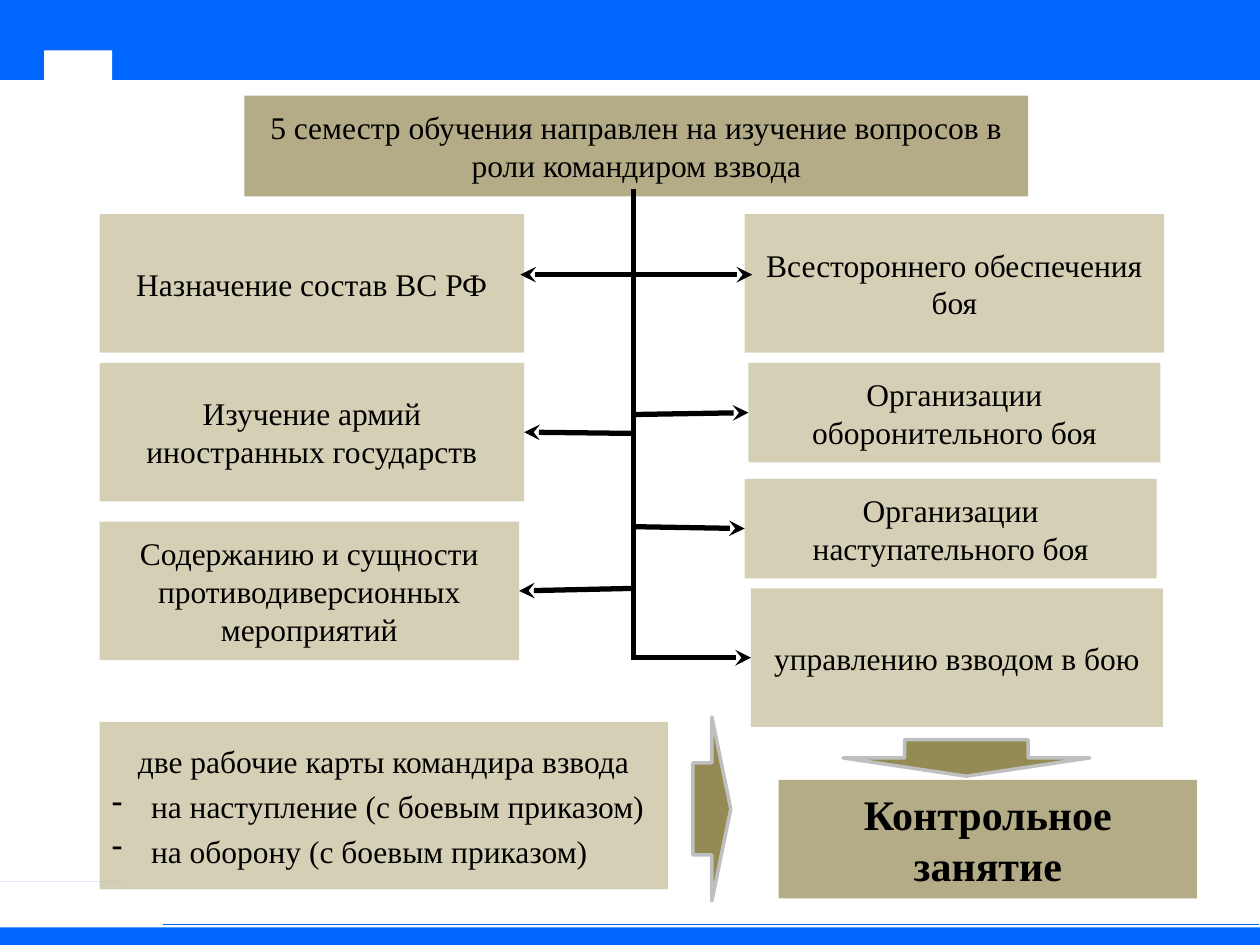
from pptx import Presentation
from pptx.dml.color import RGBColor
from pptx.enum.shapes import MSO_CONNECTOR, MSO_SHAPE
from pptx.enum.text import MSO_ANCHOR, MSO_AUTO_SIZE, PP_ALIGN
from pptx.oxml.ns import qn
from pptx.util import Emu, Inches, Pt
from lxml.etree import SubElement

BLUE = RGBColor(0x00, 0x66, 0xFF)
WHITE = RGBColor(0xFF, 0xFF, 0xFF)
BLACK = RGBColor(0x00, 0x00, 0x00)
OLIVE = RGBColor(0x94, 0x8A, 0x54)
SAND = RGBColor(0xC4, 0xBD, 0x97)
GREY = RGBColor(0xBF, 0xBF, 0xBF)

WIDTH, HEIGHT = 10, 7.5
LEFT = 0.79          # left edge of the left column
TRUNK = 5.03         # vertical line of the scheme
TOP_ROW = 1.7
TALL, SHORT = 1.1, 0.79

# City skyline: spire, roofs, bridge span, quay; then the loose details
SKYLINE = [
    [(0, 7.46), (0, 7.35), (0.06, 7.34), (0.12, 7.36), (0.17, 7.33), (0.23, 7.35),
     (0.28, 7.32), (0.3, 7.25), (0.32, 7.16), (0.32, 7.1), (0.34, 7.1), (0.34, 6.82),
     (0.36, 7.1), (0.37, 7.1), (0.37, 7.16), (0.39, 7.2), (0.39, 7.25), (0.41, 7.32),
     (0.45, 7.32), (0.49, 7.21), (0.52, 7.28), (0.53, 7.22), (0.56, 7.32), (0.62, 7.33),
     (0.62, 7.3), (0.64, 7.34), (0.74, 7.35), (0.75, 7.26), (0.77, 7.3), (0.81, 7.32),
     (0.82, 7.26), (0.84, 7.3), (0.9, 7.28), (1.03, 7.03), (1.01, 7.01), (1.05, 7.03),
     (1.16, 7.04), (1.08, 6.99), (1.2, 7.04), (1.21, 7.05), (1.1, 7.31), (1.26, 7.32),
     (1.4, 7.35), (1.4, 7.46)],
    [(1.26, 7.28), (1.25, 7.17), (1.23, 7.16), (1.24, 7.2), (1.21, 7.2), (1.22, 7.15),
     (1.25, 7.17), (1.24, 7.13), (1.27, 7.13), (1.26, 7.17), (1.29, 7.15), (1.31, 7.2),
     (1.28, 7.2), (1.29, 7.16), (1.26, 7.18)],
    [(1, 7.01), (0.96, 6.99), (0.96, 6.97), (1.02, 6.99), (1.01, 7.01)],
]


def fill_shape(shape, color, opacity=100):
    shape.fill.solid()
    shape.fill.fore_color.rgb = color
    if opacity < 100:
        color_element = shape._element.spPr.find(qn("a:solidFill"))[0]
        SubElement(color_element, qn("a:alpha"), val=str(opacity * 1000))


def add_block(slide, kind, left, top, width, height, color, opacity=100):
    shape = slide.shapes.add_shape(
        kind, Inches(left), Inches(top), Inches(width), Inches(height))
    shape.shadow.inherit = False
    shape.line.fill.background()
    fill_shape(shape, color, opacity)
    return shape


def write_text(shape, lines, size=18, bold=False):
    """Centre the first line; set the following ones as a dashed list."""
    frame = shape.text_frame
    frame.word_wrap = True
    frame.auto_size = MSO_AUTO_SIZE.NONE
    frame.vertical_anchor = MSO_ANCHOR.MIDDLE
    for index, line in enumerate(lines):
        paragraph = frame.add_paragraph() if index else frame.paragraphs[0]
        paragraph.alignment = PP_ALIGN.LEFT if index else PP_ALIGN.CENTER
        paragraph.space_before = Pt(4 if index else 0)
        if index:
            properties = paragraph._p.get_or_add_pPr()
            properties.set("marL", str(Inches(0.31)))
            properties.set("indent", str(-Inches(0.31)))
            SubElement(properties, qn("a:buChar"), char="-")
        run = paragraph.add_run()
        run.text = line
        run.font.name = "Times New Roman"
        run.font.size = Pt(size)
        run.font.bold = bold
        run.font.color.rgb = BLACK


def add_box(slide, lines, left, top, width, height, color=SAND, **style):
    box = add_block(slide, MSO_SHAPE.RECTANGLE, left, top, width, height, color, 70)
    write_text(box, lines, **style)
    return box


def add_line(slide, start, end, color=BLACK, width=3, arrows=()):
    line = slide.shapes.add_connector(
        MSO_CONNECTOR.STRAIGHT, *(Inches(value) for value in (*start, *end)))
    line.line.color.rgb = color
    line.line.width = Pt(width)
    for name in arrows:
        SubElement(line.line._get_or_add_ln(), qn(f"a:{name}"), type="stealth")
    SubElement(line._element.spPr, qn("a:effectLst"))
    return line


def add_skyline(slide):
    first, *details = SKYLINE
    builder = slide.shapes.build_freeform(*first[0], scale=Inches(1))
    builder.add_line_segments(first[1:], close=True)
    for outline in details:
        builder.move_to(*outline[0])
        builder.add_line_segments(outline[1:], close=True)
    skyline = builder.convert_to_shape(Emu(0), Emu(0))
    skyline.shadow.inherit = False
    skyline.line.fill.background()
    fill_shape(skyline, BLUE)


def add_background(slide):
    add_block(slide, MSO_SHAPE.RECTANGLE, 0, 0, WIDTH, 0.6, BLUE)
    add_skyline(slide)
    add_block(slide, MSO_SHAPE.RECTANGLE, 0, 7.36, WIDTH, HEIGHT - 7.36, BLUE)
    add_line(slide, (WIDTH, 0.6), (0, 0.6), BLUE, 4.5)
    add_line(slide, (1.29, 7.34), (9.99, 7.34), BLUE, 0.75)
    add_block(slide, MSO_SHAPE.RECTANGLE, 0.35, 0.4, 0.54, 0.44, WHITE)


def add_title(slide):
    title = slide.shapes.title
    title.left, title.top = Inches(1.94), Inches(0.76)
    title.width, title.height = Inches(6.22), Inches(0.8)
    fill_shape(title, OLIVE, 70)
    write_text(title, ["5 семестр обучения направлен на изучение вопросов в "
                       "роли командиром взвода"])


def add_scheme(slide):
    # Topics on both sides of the trunk
    add_box(slide, ["Назначение состав ВС РФ"], LEFT, TOP_ROW, 3.37, TALL)
    add_box(slide, ["Всестороннего обеспечения боя"], 5.91, TOP_ROW, 3.33, TALL)
    armies = add_box(slide, ["Изучение армий иностранных государств"],
                     LEFT, 2.88, 3.37, TALL)
    sabotage = add_box(slide, ["Содержанию и сущности противодиверсионных мероприятий"],
                       LEFT, 4.14, 3.33, TALL)
    defence = add_box(slide, ["Организации оборонительного боя"], 5.94, 2.88, 3.27, SHORT)
    attack = add_box(slide, ["Организации наступательного боя"], 5.91, 3.8, 3.27, SHORT)
    control = add_box(slide, ["управлению взводом в бою"], 5.96, 4.67, 3.27, TALL)

    # Trunk, the shared top branch, and one branch for each other topic
    add_line(slide, (TRUNK, 1.5), (TRUNK, 5.24))
    add_line(slide, (4.13, 2.18), (5.97, 2.18), arrows=("headEnd", "tailEnd"))
    for topic, height, side in ((armies, 3.44, 3), (sabotage, 4.67, 3),
                                (defence, 3.29, 1), (attack, 4.18, 1), (control, 5.22, 1)):
        branch = add_line(slide, (TRUNK, height), (TRUNK, height), arrows=("tailEnd",))
        branch.end_connect(topic, side)


def add_results(slide):
    add_box(slide, ["две рабочие карты командира взвода",
                    "на наступление (с боевым приказом)",
                    "на оборону (с боевым приказом)"], LEFT, 5.73, 4.51, 1.33)
    add_box(slide, ["Контрольное занятие"], 6.18, 6.19, 3.32, 0.94, OLIVE,
            size=24, bold=True)
    for place, rotation in (((4.92, 6.27, 1.46, 0.3), 270), ((6.69, 5.87, 1.96, 0.29), 0)):
        arrow = add_block(slide, MSO_SHAPE.DOWN_ARROW, *place, OLIVE)
        arrow.rotation = rotation
        arrow.line.color.rgb = GREY
        arrow.line.width = Pt(2)


def main():
    presentation = Presentation()
    presentation.slide_width = Inches(WIDTH)
    presentation.slide_height = Inches(HEIGHT)
    slide = presentation.slides.add_slide(presentation.slide_layouts[5])
    slide.background.fill.solid()
    slide.background.fill.fore_color.rgb = WHITE
    add_background(slide)
    add_title(slide)
    add_scheme(slide)
    add_results(slide)
    presentation.save("out.pptx")


if __name__ == "__main__":
    main()
